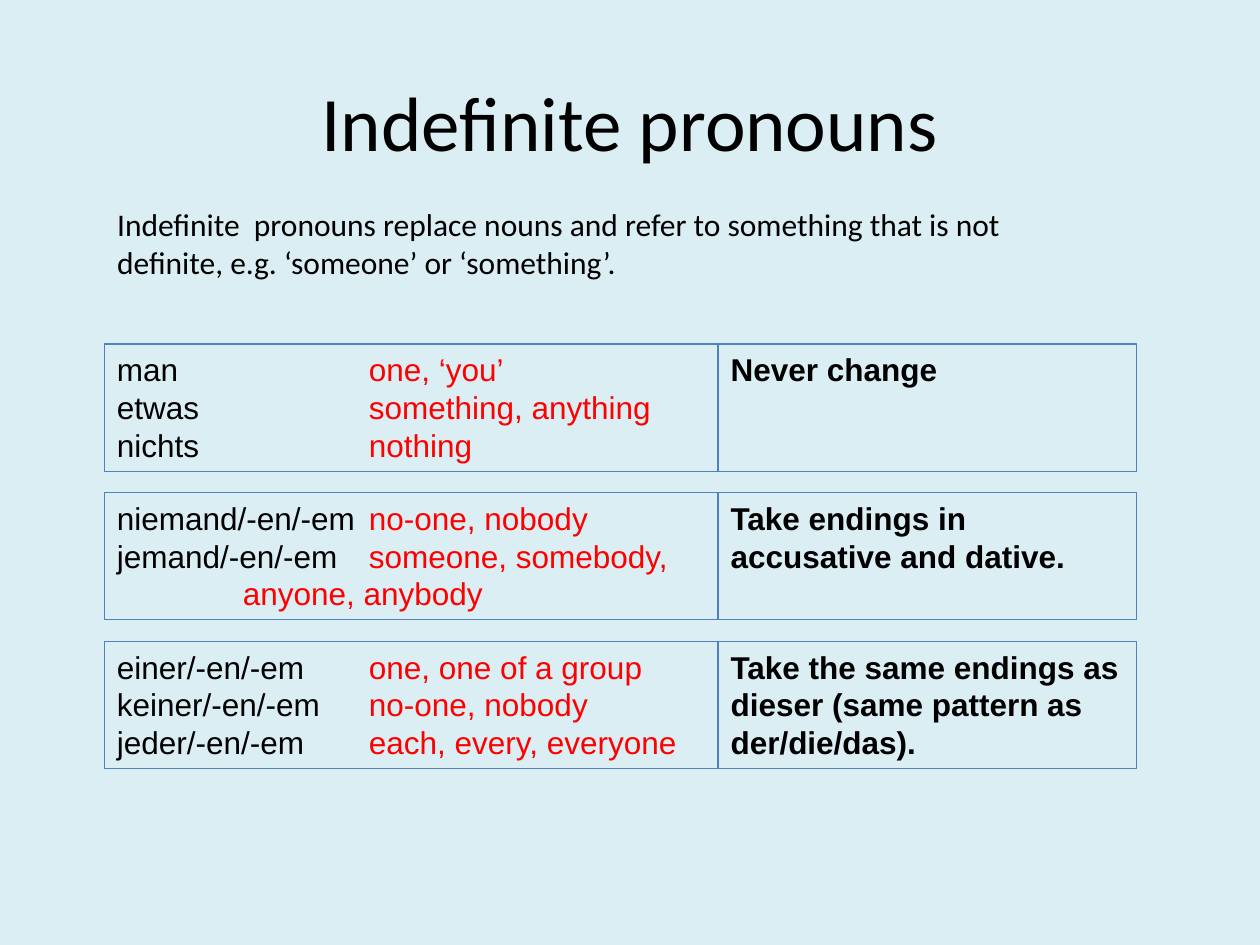
import dataclasses
import typing

import pptx
import pptx.dml.color
import pptx.enum.shapes
import pptx.enum.text
import pptx.oxml
import pptx.oxml.ns
import pptx.util
from pptx.util import Inches


@dataclasses.dataclass(frozen=True)
class Theme:
    background: str = "DBEEF4"
    ink: str = "000000"
    meaning: str = "FF0000"
    border: str = "4F81BD"
    heading_font: str = "Calibri"
    table_font: str = "Arial"
    title_size: int = 44
    text_size: int = 18
    border_width: float = 0.75


class Entry(typing.NamedTuple):
    pronoun: str
    meaning: str
    tab_stops: tuple[float, ...] = (2,)


class Group(typing.NamedTuple):
    entries: list[Entry]
    rule: str


THEME = Theme()
LEFT, TOP = 0.83, 2.73
WORDS_WIDTH, RULE_WIDTH = 4.87, 3.32
ROW_HEIGHT, ROW_PITCH = 1.01, 1.18

GROUPS = [
    Group(
        [
            Entry("man", "one, ‘you’"),
            Entry("etwas", "something, anything"),
            Entry("nichts", "nothing"),
        ],
        "Never change",
    ),
    Group(
        [
            Entry("niemand/-en/-em", "no-one, nobody"),
            Entry("jemand/-en/-em", "someone, somebody,\v\tanyone, anybody", (1, 2)),
        ],
        "Take endings in accusative and dative.",
    ),
    Group(
        [
            Entry("einer/-en/-em", "one, one of a group"),
            Entry("keiner/-en/-em", "no-one, nobody"),
            Entry("jeder/-en/-em", "each, every, everyone"),
        ],
        "Take the same endings as dieser (same pattern as der/die/das).",
    ),
]


def colour(code: str) -> pptx.dml.color.RGBColor:
    return pptx.dml.color.RGBColor.from_string(code)


def add_text(para, text: str, *, font: str = THEME.table_font,
             size: int = THEME.text_size, ink: str = THEME.ink,
             bold: bool = False) -> None:
    for index, line in enumerate(text.split("\v")):
        if index:
            para.add_line_break()
        span = para.add_run()
        span.text = line
        span.font.name = font
        span.font.size = pptx.util.Pt(size)
        span.font.bold = bold
        span.font.color.rgb = colour(ink)


def set_tab_stops(para, stops: tuple[float, ...]) -> None:
    properties = para._p.get_or_add_pPr()
    tab_list = pptx.oxml.ns.qn("a:tabLst")
    holder = properties.makeelement(tab_list, {})
    properties.append(holder)
    for stop in stops:
        attributes = {"pos": str(Inches(stop)), "algn": "l"}
        holder.append(holder.makeelement(pptx.oxml.ns.qn("a:tab"), attributes))


def place(box, left: float, top: float, width: float, height: float) -> None:
    box.left, box.top = Inches(left), Inches(top)
    box.width, box.height = Inches(width), Inches(height)


def add_cell(page, left: float, top: float, width: float):
    box = page.shapes.add_shape(
        pptx.enum.shapes.MSO_SHAPE.RECTANGLE,
        Inches(left), Inches(top), Inches(width), Inches(ROW_HEIGHT),
    )
    box.shadow.inherit = False
    box.fill.background()
    box.line.color.rgb = colour(THEME.border)
    box.line.width = pptx.util.Pt(THEME.border_width)
    frame = box.text_frame
    frame.word_wrap = True
    frame.vertical_anchor = pptx.enum.text.MSO_ANCHOR.TOP
    frame.paragraphs[0].alignment = pptx.enum.text.PP_ALIGN.LEFT
    return frame


def add_group(page, group: Group, top: float) -> None:
    words = add_cell(page, LEFT, top, WORDS_WIDTH)
    for index, entry in enumerate(group.entries):
        para = words.add_paragraph() if index else words.paragraphs[0]
        para.alignment = pptx.enum.text.PP_ALIGN.LEFT
        set_tab_stops(para, entry.tab_stops)
        add_text(para, entry.pronoun + "\t")
        add_text(para, entry.meaning, ink=THEME.meaning)
    rule = add_cell(page, LEFT + WORDS_WIDTH, top, RULE_WIDTH)
    add_text(rule.paragraphs[0], group.rule, bold=True)


def add_heading(page) -> None:
    title = page.shapes.title
    place(title, 0.5, 0.33, 9, 1.25)
    title.text_frame.vertical_anchor = pptx.enum.text.MSO_ANCHOR.MIDDLE
    para = title.text_frame.paragraphs[0]
    para.alignment = pptx.enum.text.PP_ALIGN.CENTER
    add_text(para, "Indefinite pronouns", font=THEME.heading_font,
             size=THEME.title_size)


def add_introduction(page) -> None:
    body = page.placeholders[1]
    place(body, LEFT, 1.58, 8.08, 0.71)
    body.text_frame.auto_size = pptx.enum.text.MSO_AUTO_SIZE.NONE
    para = body.text_frame.paragraphs[0]
    para.space_before = pptx.util.Pt(0)
    properties = para._p.get_or_add_pPr()
    properties.set("marL", "0")
    properties.set("indent", "0")
    properties.append(properties.makeelement(pptx.oxml.ns.qn("a:buNone"), {}))
    add_text(
        para,
        "Indefinite  pronouns replace nouns and refer to something that is not "
        "definite, e.g. ‘someone’ or ‘something’.",
        font=THEME.heading_font,
    )


def main() -> None:
    deck = pptx.Presentation()
    deck.slide_width, deck.slide_height = Inches(10), Inches(7.5)
    page = deck.slides.add_slide(deck.slide_layouts[1])
    page.background.fill.solid()
    page.background.fill.fore_color.rgb = colour(THEME.background)
    add_heading(page)
    add_introduction(page)
    for index, group in enumerate(GROUPS):
        add_group(page, group, TOP + index * ROW_PITCH)
    deck.save("out.pptx")


if __name__ == "__main__":
    main()
